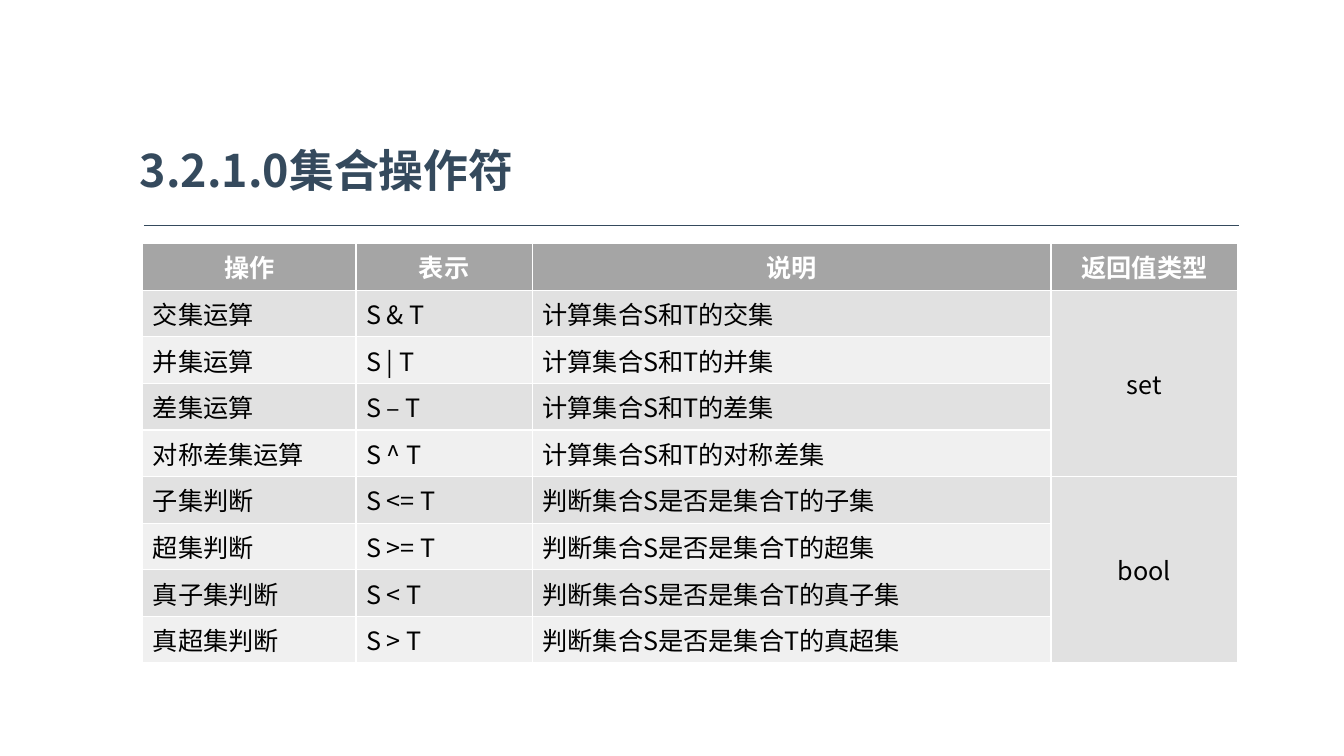
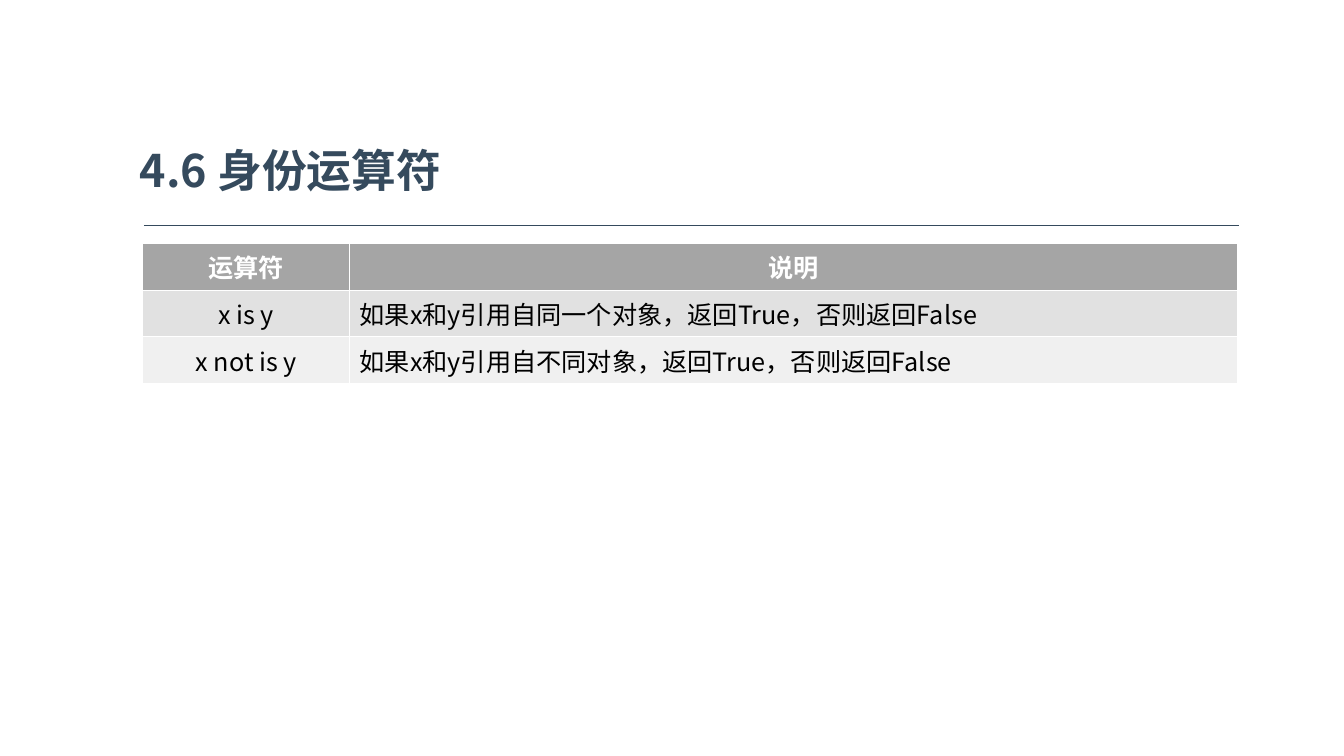
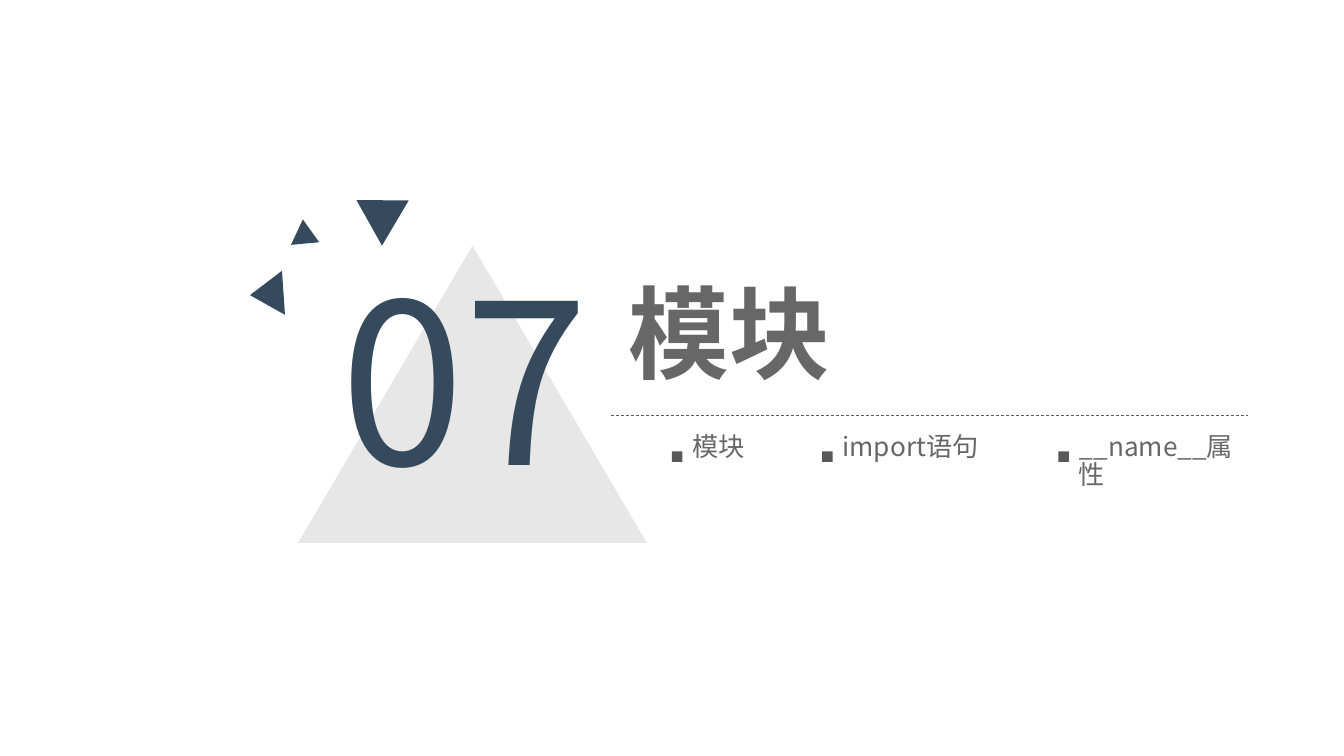
from lxml.etree import SubElement
from pptx import Presentation
from pptx.dml.color import RGBColor
from pptx.enum.dml import MSO_LINE
from pptx.enum.shapes import MSO_CONNECTOR, MSO_SHAPE
from pptx.enum.text import MSO_ANCHOR, MSO_AUTO_SIZE, PP_ALIGN
from pptx.oxml.ns import qn
from pptx.util import Emu, Pt

PX = 9525
FONT = "Noto Sans CJK SC"
NAVY = "354A5D"
GREY = "595959"
WHITE = "FFFFFF"
BLACK = "000000"
HEADER_FILL = "A5A5A5"
BAND_FILLS = ("E1E1E1", "F0F0F0")
TITLE_ONLY = 5
TEXT_OPACITY = 91
LINE_SPACING = 0.88

SET_OPERATORS = [
    ("操作", "表示", "说明", "返回值类型"),
    ("交集运算", "S & T", "计算集合S和T的交集", "set"),
    ("并集运算", "S | T", "计算集合S和T的并集", ""),
    ("差集运算", "S – T", "计算集合S和T的差集", ""),
    ("对称差集运算", "S ^ T", "计算集合S和T的对称差集", ""),
    ("子集判断", "S <= T", "判断集合S是否是集合T的子集", "bool"),
    ("超集判断", "S >= T", "判断集合S是否是集合T的超集", ""),
    ("真子集判断", "S < T", "判断集合S是否是集合T的真子集", ""),
    ("真超集判断", "S > T", "判断集合S是否是集合T的真超集", ""),
]
IDENTITY_OPERATORS = [
    ("运算符", "说明"),
    ("x is y", "如果x和y引用自同一个对象，返回True，否则返回False"),
    ("x not is y", "如果x和y引用自不同对象，返回True，否则返回False"),
]
# left, top, width, height, rotation
SMALL_TRIANGLES = [
    (333, 180, 50, 43, 300.6),
    (276, 209, 27, 23, 354.7),
    (233, 264, 42, 32, 266.1),
]
# square left, text width, text
TOPICS = [
    (640, 70, "模块"),
    (783, 152, "import语句"),
    (1008, 182, "__name__属性"),
]


def px(*lengths):
    return [Emu(length * PX) for length in lengths]


def paint(fill, color, opacity=100):
    fill.solid()
    fill.fore_color.rgb = RGBColor.from_string(color)
    if opacity < 100:
        tint = fill._xPr.find(qn("a:solidFill"))[0]
        SubElement(tint, qn("a:alpha"), val=str(opacity * 1000))


def write(frame, text, size, color, bold=False, align=PP_ALIGN.LEFT, opacity=100):
    """Put one formatted run into the frame and return its paragraph."""
    para = frame.paragraphs[0]
    para.alignment = align
    span = para.add_run()
    span.text = text
    span.font.size = Pt(size)
    span.font.bold = bold
    span.font.name = FONT
    paint(span.font.fill, color, opacity)
    SubElement(span._r.get_or_add_rPr(), qn("a:ea"), typeface=FONT)
    return para


def add_rule(page, left, right, y, color, dash=None):
    rule = page.shapes.add_connector(MSO_CONNECTOR.STRAIGHT, *px(left, y, right, y))
    paint(rule.line.fill, color)
    rule.line.width = Pt(0.5)
    if dash:
        rule.line.dash_style = dash
    SubElement(rule._element.spPr, qn("a:effectLst"))


def add_solid(page, preset, left, top, width, height, color, rotation=0, opacity=100):
    solid = page.shapes.add_shape(preset, *px(left, top, width, height))
    solid.shadow.inherit = False
    solid.line.fill.background()
    solid.rotation = rotation
    paint(solid.fill, color, opacity)


def place(box, left, top, width, height):
    box.left, box.top, box.width, box.height = px(left, top, width, height)


def fill_growing_box(box, text, size, color, bold=False, opacity=100):
    """Write top-anchored text that stretches its box downwards."""
    frame = box.text_frame
    frame.word_wrap = True
    frame.auto_size = MSO_AUTO_SIZE.SHAPE_TO_FIT_TEXT
    frame.vertical_anchor = MSO_ANCHOR.TOP
    para = write(frame, text, size, color, bold, opacity=opacity)
    para.line_spacing = LINE_SPACING


def add_page(deck):
    return deck.slides.add_slide(deck.slide_layouts[TITLE_ONLY])


def add_table(page, rows, widths, centred):
    """Draw a banded table; the columns listed in centred have centred text."""
    row_height = 39
    frame = page.shapes.add_table(
        len(rows), len(widths), *px(136, 232, sum(widths), row_height * len(rows)))
    table = frame.table
    for column, width in zip(table.columns, px(*widths)):
        column.width = width
    for r, texts in enumerate(rows):
        for c, text in enumerate(texts):
            cell = table.cell(r, c)
            header = r == 0
            paint(cell.fill, HEADER_FILL if header else BAND_FILLS[(r - 1) % 2])
            if text:
                align = PP_ALIGN.CENTER if header or c in centred else PP_ALIGN.LEFT
                write(cell.text_frame, text, 18, WHITE if header else BLACK, header, align)
    return table


def add_table_page(deck, title, rows, widths, centred):
    page = add_page(deck)
    heading = page.shapes.title
    place(heading, 121, 127, 667, 70)
    frame = heading.text_frame
    frame.auto_size = MSO_AUTO_SIZE.NONE
    frame.vertical_anchor = MSO_ANCHOR.MIDDLE
    frame.margin_left, frame.margin_right = px(12, 12)
    frame.margin_top, frame.margin_bottom = px(7, 7)
    write(frame, title, 32, NAVY, bold=True)
    add_rule(page, 137, 1180, 215, NAVY)
    return add_table(page, rows, widths, centred)


def add_section_page(deck, number, title):
    page = add_page(deck)
    add_solid(page, MSO_SHAPE.ISOSCELES_TRIANGLE, 284, 234, 332, 283, GREY, opacity=14)
    number_box = page.shapes.add_textbox(*px(315, 258, 273, 268))
    fill_growing_box(number_box, number, 160, NAVY)
    place(page.shapes.title, 589, 268, 213, 126)
    fill_growing_box(page.shapes.title, title, 72, GREY, True, TEXT_OPACITY)
    add_rule(page, 582, 1189, 396, GREY, MSO_LINE.DASH)
    for left, width, topic in TOPICS:
        add_solid(page, MSO_SHAPE.RECTANGLE, left, 430, 10, 10, GREY)
        topic_box = page.shapes.add_textbox(*px(left + 10, 409, width, 40))
        fill_growing_box(topic_box, topic, 18.7, GREY, opacity=TEXT_OPACITY)
    for left, top, width, height, rotation in SMALL_TRIANGLES:
        add_solid(page, MSO_SHAPE.ISOSCELES_TRIANGLE, left, top, width, height, NAVY, rotation)


def main():
    deck = Presentation()
    deck.slide_width, deck.slide_height = px(1280, 720)

    operators = add_table_page(
        deck, "3.2.1.0集合操作符", SET_OPERATORS, (203, 168, 494, 178), {3})
    for first in (1, 5):
        result_type = operators.cell(first, 3)
        result_type.merge(operators.cell(first + 3, 3))
        result_type.vertical_anchor = MSO_ANCHOR.MIDDLE

    add_table_page(deck, "4.6 身份运算符", IDENTITY_OPERATORS, (197, 846), {0})
    add_section_page(deck, "07", "模块")
    deck.save("out.pptx")


if __name__ == "__main__":
    main()
